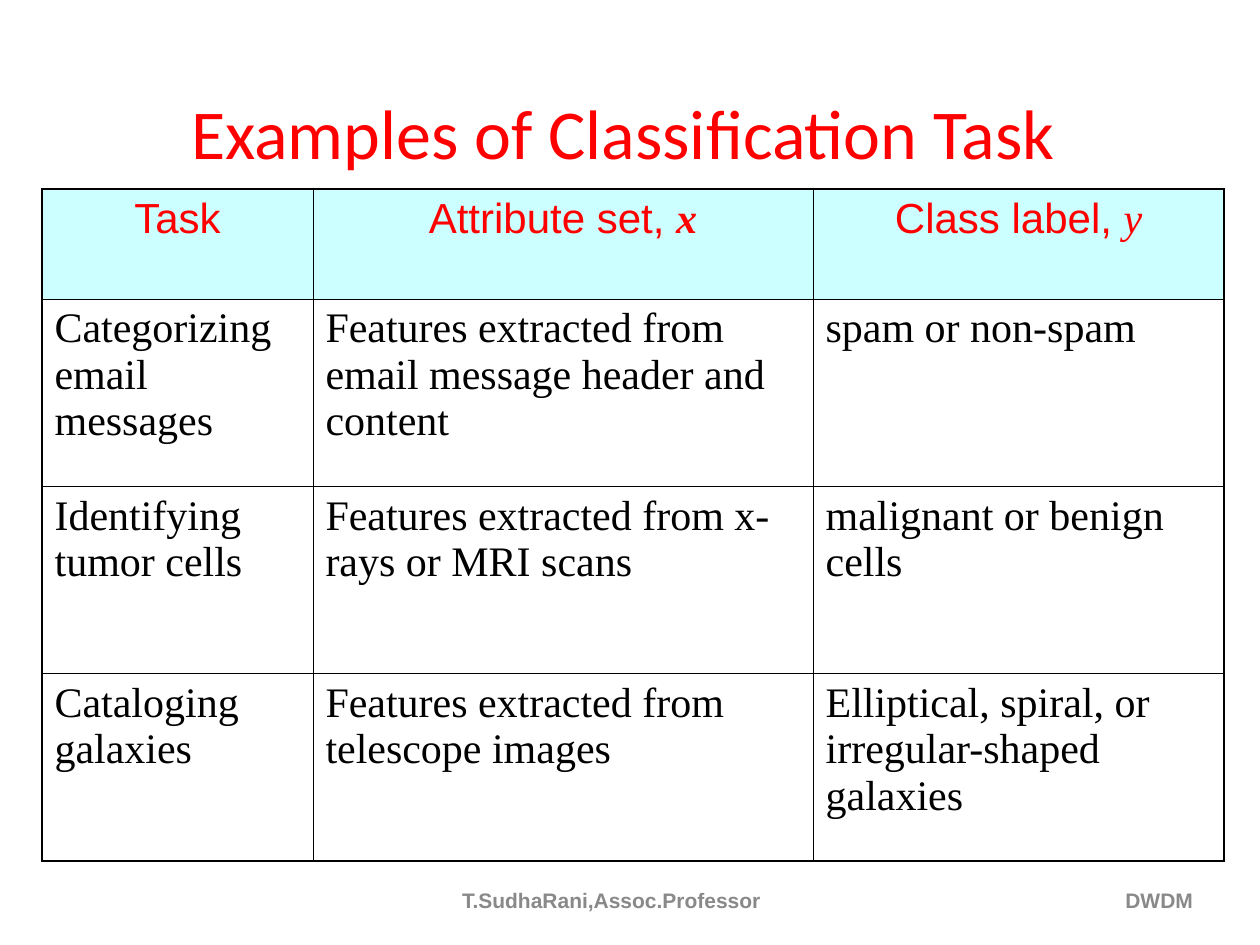
from lxml import etree
from pptx import Presentation
from pptx.dml.color import RGBColor
from pptx.enum import text as t
from pptx.oxml import ns
from pptx.util import Pt

RED, BLACK, GRAY, CYAN = "FF0000", "000000", "898989", "CCFFFF"
SANS, SERIF = "Arial", "Times New Roman"
COLS = [154.8, 285.8, 235]
ROWS = [63, 107, 107, 107]
HEADS = [("Task", ""), ("Attribute set, ", "x"), ("Class label, ", "y")]
BODY = [
    ("Categorizing email messages",
     "Features extracted from email message header and content",
     "spam or non-spam"),
    ("Identifying tumor cells",
     "Features extracted from x-rays or MRI scans",
     "malignant or benign cells"),
    ("Cataloging galaxies",
     "Features extracted from telescope images",
     "Elliptical, spiral, or irregular-shaped galaxies"),
]


def color(code):
    return RGBColor.from_string(code)


def add_run(para, words, size, font, code, bold=False, italic=False):
    run = para.add_run()
    run.text = words
    face = run.font
    face.size, face.name = Pt(size), font
    face.bold, face.italic = bold, italic
    face.color.rgb = color(code)


def place(shape, left, top, width, height):
    shape.left, shape.top = Pt(left), Pt(top)
    shape.width, shape.height = Pt(width), Pt(height)


def add_title(slide):
    title = slide.shapes.title
    place(title, 30, 54, 652, 42)
    frame = title.text_frame
    frame.auto_size = t.MSO_AUTO_SIZE.NONE
    frame.vertical_anchor = t.MSO_ANCHOR.MIDDLE
    para = frame.paragraphs[0]
    para.alignment = t.PP_ALIGN.CENTER
    add_run(para, "Examples of Classification Task", 40, "Calibri", RED)


def set_edges(cell, row, col):
    """Draw thick lines on the table's outer edge and thin ones inside."""
    outer = {"L": col == 0, "R": col == len(COLS) - 1,
             "T": row == 0, "B": row == len(ROWS) - 1}
    props = cell._tc.get_or_add_tcPr()
    for side, thick in outer.items():
        line = etree.SubElement(props, ns.qn("a:ln" + side),
                                w=str(Pt(1.08 if thick else 0.45)))
        fill = etree.SubElement(line, ns.qn("a:solidFill"))
        etree.SubElement(fill, ns.qn("a:srgbClr"), val=BLACK)


def start_cell(table, row, col):
    """Prepare a cell's borders and spacing and return its paragraph."""
    cell = table.cell(row, col)
    set_edges(cell, row, col)
    para = cell.text_frame.paragraphs[0]
    para.space_before, para.space_after = Pt(3), Pt(4)
    return cell, para


def add_grid(slide):
    frame = slide.shapes.add_table(len(ROWS), len(COLS), Pt(24), Pt(108),
                                   Pt(sum(COLS)), Pt(sum(ROWS)))
    table = frame.table
    table.first_row = table.horz_banding = False
    for col, width in zip(table.columns, COLS):
        col.width = Pt(width)
    for row, height in zip(table.rows, ROWS):
        row.height = Pt(height)

    for col, (label, symbol) in enumerate(HEADS):
        cell, para = start_cell(table, 0, col)
        cell.fill.solid()
        cell.fill.fore_color.rgb = color(CYAN)
        para.alignment = t.PP_ALIGN.CENTER
        add_run(para, label, 24, SANS, RED)
        if symbol:
            add_run(para, symbol, 24, SERIF, RED, symbol == "x", True)

    for row, line in enumerate(BODY, 1):
        for col, words in enumerate(line):
            cell, para = start_cell(table, row, col)
            cell.fill.background()
            add_run(para, words, 24, SERIF, BLACK)


def add_footer(slide):
    box = slide.shapes.add_textbox(Pt(42), Pt(500), Pt(678), Pt(29))
    frame = box.text_frame
    frame.word_wrap = True
    frame.vertical_anchor = t.MSO_ANCHOR.MIDDLE
    para = frame.paragraphs[0]
    para.alignment = t.PP_ALIGN.LEFT
    stops = etree.SubElement(para._p.get_or_add_pPr(), ns.qn("a:tabLst"))
    for stop in (215, 594):
        etree.SubElement(stops, ns.qn("a:tab"), pos=str(Pt(stop)), algn="l")
    add_run(para, "\tT.SudhaRani,Assoc.Professor\tDWDM", 12, SANS, GRAY, True)


def main():
    deck = Presentation()
    deck.slide_width, deck.slide_height = Pt(720), Pt(540)
    slide = deck.slides.add_slide(deck.slide_layouts[5])
    add_title(slide)
    add_grid(slide)
    add_footer(slide)
    deck.save("out.pptx")


if __name__ == "__main__":
    main()
